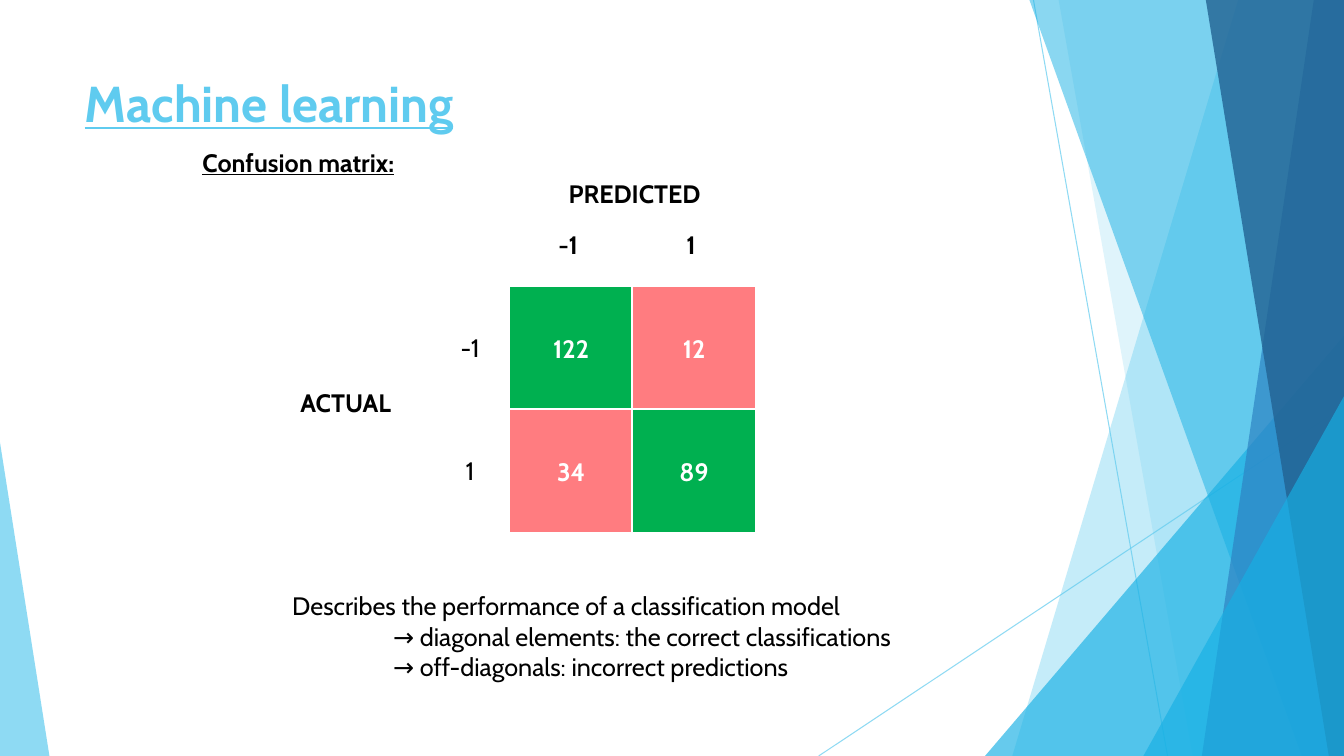
"""Build the confusion matrix slide of a machine learning deck."""
from dataclasses import dataclass

from lxml import etree
from pptx import Presentation
from pptx import util as u
from pptx.dml.color import RGBColor
from pptx.enum import shapes, text
from pptx.oxml.ns import qn


@dataclass(frozen=True)
class Theme:
    """Colours and type sizes of the slide."""
    font: str = "Cabin"
    title_size: int = 36
    body_size: int = 18
    ink: str = "000000"
    paper: str = "FFFFFF"
    sky: str = "5FCBEF"
    cyan: str = "17B0E4"
    blue: str = "2E83C3"
    navy: str = "226292"
    correct: str = "00B050"
    wrong: str = "FF7C80"


class SlideBuilder:
    """Draws each kind of element on one slide."""

    def __init__(self, deck, theme):
        """Open a title-only slide."""
        self.theme = theme
        self.width, self.height = deck.slide_width, deck.slide_height
        self.slide = deck.slides.add_slide(deck.slide_layouts[5])

    def assign(self, target, values):
        """Set every attribute named in values."""
        for name, value in values.items():
            setattr(target, name, value)

    def add_words(self, paragraph, words, color, size=None, **style):
        """Add one formatted run to a paragraph."""
        run = paragraph.add_run()
        run.text = words
        self.assign(run.font, {"name": self.theme.font,
                               "size": u.Pt(size or self.theme.body_size), **style})
        run.font.color.rgb = RGBColor.from_string(color)

    def fade(self, element, opacity):
        """Make the colours of an element translucent."""
        for color in element.spPr.iter(qn("a:srgbClr")):
            etree.SubElement(color, qn("a:alpha"), val=str(opacity * 1000))

    def paint(self, shape, color, opacity=100):
        """Give a shape a flat fill without line or shadow."""
        shape.shadow.inherit = False
        shape.fill.solid()
        shape.fill.fore_color.rgb = RGBColor.from_string(color)
        shape.line.fill.background()
        if opacity < 100:
            self.fade(shape._element, opacity)

    def ray(self, start_x, start_y, end_x, end_y):
        """Draw a thin translucent line."""
        ends = [u.Inches(v) for v in (start_x, start_y, end_x, end_y)]
        ray = self.slide.shapes.add_connector(shapes.MSO_CONNECTOR.STRAIGHT, *ends)
        ray.line.width = u.Pt(0.75)
        ray.line.color.rgb = RGBColor.from_string(self.theme.sky)
        self.fade(ray._element, 70)
        etree.SubElement(ray._element.spPr, qn("a:effectLst"))

    def band(self, top_x, bottom_x, color, opacity):
        """Fill from a slanted edge to the right side of the slide."""
        outline = self.slide.shapes.build_freeform(u.Inches(top_x), 0)
        outline.add_line_segments([(self.width, 0), (self.width, self.height),
                                   (u.Inches(bottom_x), self.height)])
        self.paint(outline.convert_to_shape(), color, opacity)

    def wedge(self, left, top, width, apex, color, opacity):
        """Draw a triangle standing on the bottom edge."""
        wedge = self.slide.shapes.add_shape(
            shapes.MSO_SHAPE.ISOSCELES_TRIANGLE, u.Inches(left), u.Inches(top),
            u.Inches(width), self.height - u.Inches(top))
        wedge.adjustments[0] = apex
        self.paint(wedge, color, opacity)

    def title(self, words, left, top, width, height):
        """Place and format the title placeholder."""
        heading = self.slide.shapes.title
        self.assign(heading, {"left": u.Inches(left), "top": u.Inches(top),
                              "width": u.Inches(width), "height": u.Inches(height)})
        self.assign(heading.text_frame, {"vertical_anchor": text.MSO_ANCHOR.TOP,
                                         "auto_size": text.MSO_AUTO_SIZE.NONE})
        paragraph = heading.text_frame.paragraphs[0]
        paragraph.alignment = text.PP_ALIGN.LEFT
        self.add_words(paragraph, words, self.theme.sky, self.theme.title_size,
                       bold=True, underline=True)

    def label(self, lines, left, top, width, height=0.4, **style):
        """Add a text box whose lines after the first are indented."""
        box = self.slide.shapes.add_textbox(*map(u.Inches, (left, top, width, height)))
        frame = box.text_frame
        self.assign(frame, {"word_wrap": False,
                            "auto_size": text.MSO_AUTO_SIZE.SHAPE_TO_FIT_TEXT})
        for index, words in enumerate(lines):
            paragraph = frame.add_paragraph() if index else frame.paragraphs[0]
            if index:
                paragraph._p.get_or_add_pPr().set("marL", str(u.Inches(1)))
            self.add_words(paragraph, words, self.theme.ink, **style)

    def cell(self, count, left, top, side, color):
        """Draw one square of the matrix with its count."""
        cell = self.slide.shapes.add_shape(
            shapes.MSO_SHAPE.RECTANGLE, *map(u.Inches, (left, top, side, side)))
        self.paint(cell, color)
        cell.line.color.rgb = RGBColor.from_string(self.theme.paper)
        cell.line.width = u.Pt(1.5)
        cell.text_frame.vertical_anchor = text.MSO_ANCHOR.MIDDLE
        paragraph = cell.text_frame.paragraphs[0]
        paragraph.alignment = text.PP_ALIGN.CENTER
        self.add_words(paragraph, str(count), self.theme.paper, bold=True)


def main():
    """Compose the slide and save the deck."""
    deck = Presentation()
    deck.slide_width, deck.slide_height = u.Inches(13.33), u.Inches(7.5)
    theme = Theme()
    page = SlideBuilder(deck, theme)

    page.ray(10.25, 0, 11.58, 7.5)
    page.ray(13.33, 4.03, 8.12, 7.5)
    page.band(12.28, 10.04, theme.sky, 36)
    page.band(10.5, 11.83, theme.sky, 20)
    page.wedge(9.77, 3.33, 3.56, 1, theme.cyan, 66)
    page.band(10.21, 12.91, theme.cyan, 50)
    page.band(13.03, 11.92, theme.blue, 70)
    page.band(11.96, 13.18, theme.navy, 80)
    page.wedge(11.34, 3.93, 1.99, 1, theme.cyan, 66)
    page.wedge(0, 4.39, 0.49, 0, theme.sky, 70)

    page.title("Machine learning", 0.74, 0.67, 9.4, 1.44)
    page.label(["Confusion matrix:"], 1.91, 1.41, 2.31, bold=True, underline=True)

    matrix_left, matrix_top, side, pitch = 5.05, 2.84, 1.23, 1.22
    for row, counts in enumerate([(122, 12), (34, 89)]):
        for column, count in enumerate(counts):
            page.cell(count, matrix_left + column * pitch, matrix_top + row * pitch,
                      side, theme.correct if row == column else theme.wrong)

    for words, left, width in [("-1", 5.44, 0.44), ("1", 6.71, 0.35)]:
        page.label([words], left, 2.23, width, bold=True)
    for row, (words, left, width) in enumerate([("-1", 4.47, 0.43), ("1", 4.52, 0.34)]):
        page.label([words], left, 3.25 + row * pitch, width)
    page.label(["PREDICTED"], 5.54, 1.72, 1.52, bold=True)
    page.label(["ACTUAL"], 2.88, 3.79, 1.15, bold=True)
    page.label(["Describes the performance of a classification model",
                "→ diagonal elements: the correct classifications",
                "→ off-diagonals: incorrect predictions"], 2.8, 5.81, 7.06, 1.01)
    deck.save("out.pptx")


if __name__ == "__main__":
    main()
